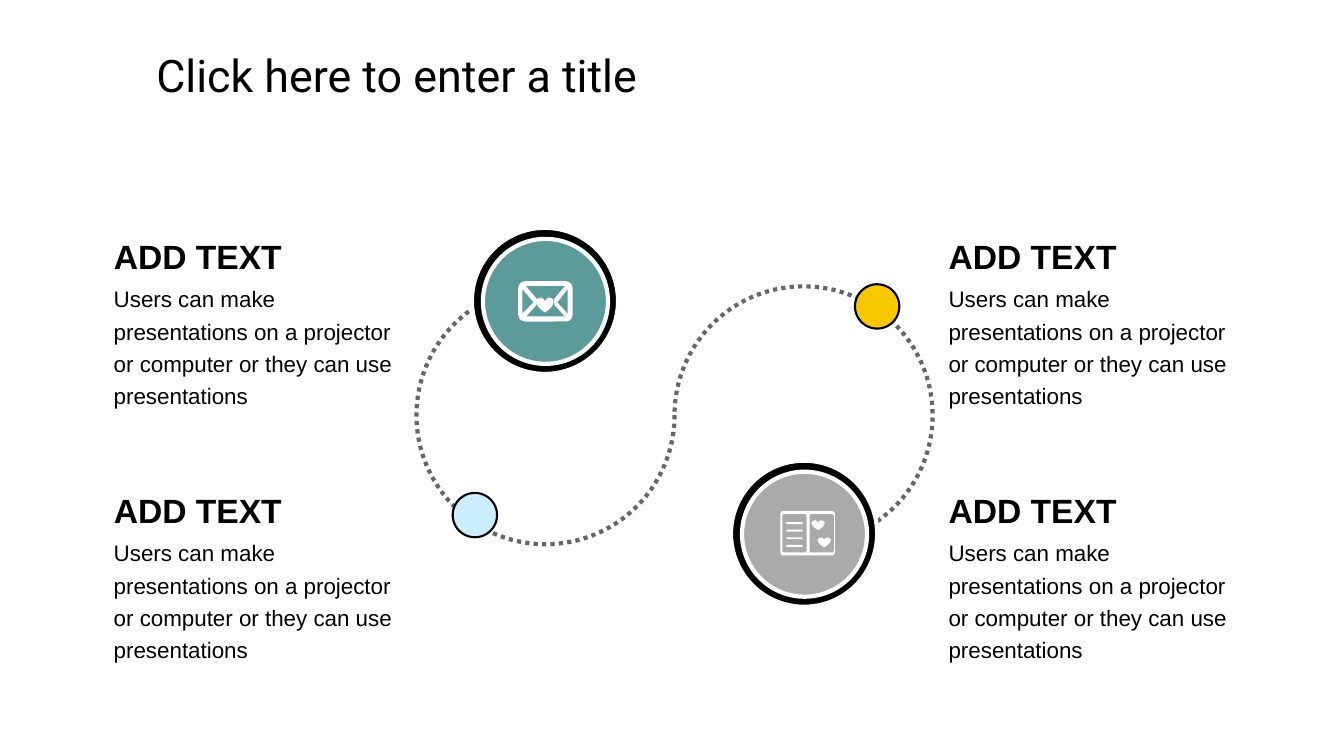
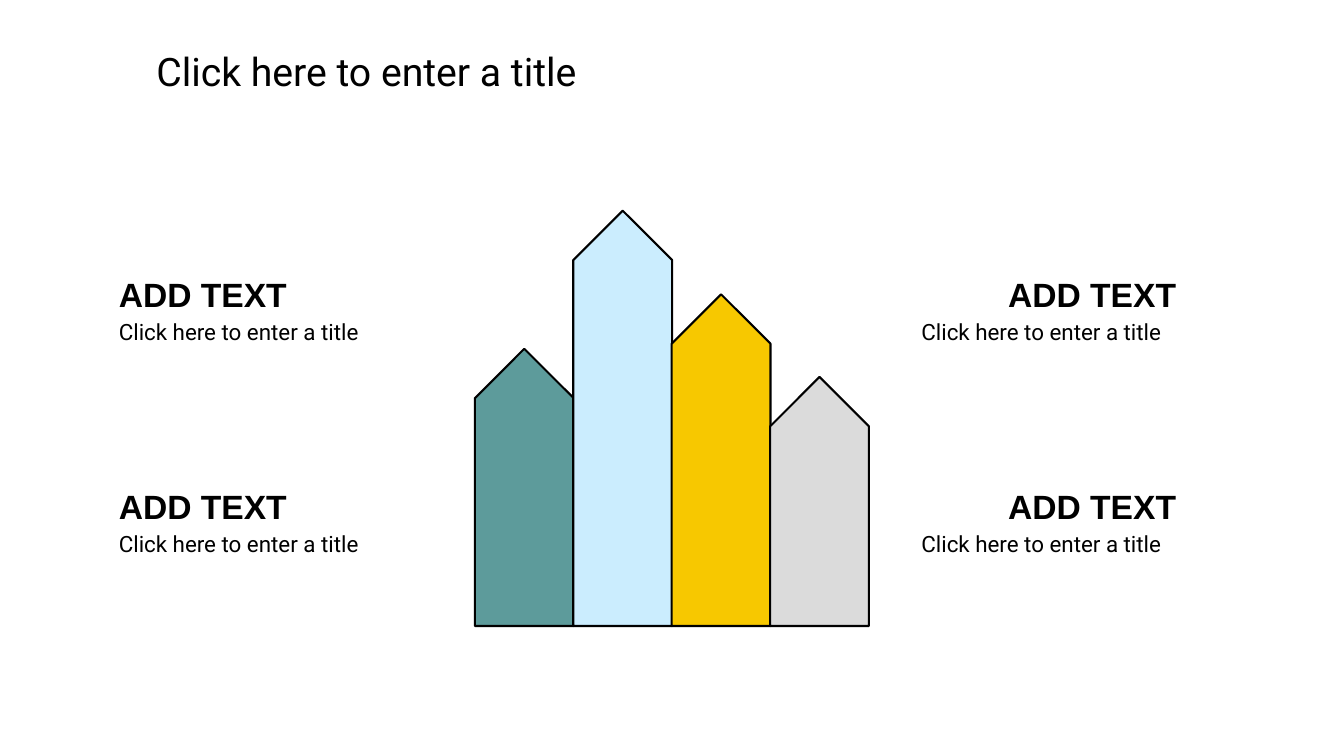
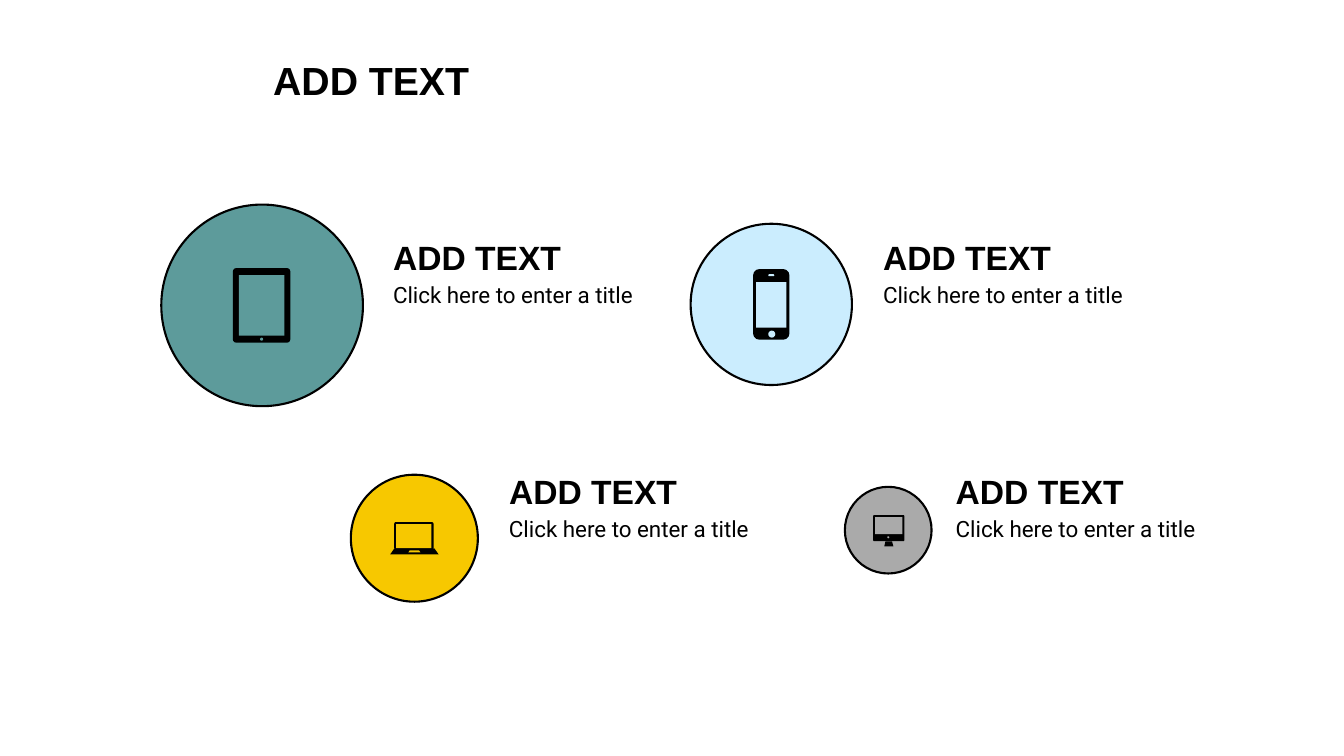
from pptx import Presentation
from pptx.dml.color import RGBColor
from pptx.enum.dml import MSO_LINE
from pptx.enum.shapes import MSO_SHAPE
from pptx.enum.text import MSO_ANCHOR, MSO_AUTO_SIZE, PP_ALIGN
from pptx.util import Inches, Pt

TEAL, BLUE, YELLOW, GRAY = "5D9B9B", "CBEDFE", "F7C800", "AAAAAA"
LIGHT, DARK, BLACK, WHITE = "DBDBDB", "666666", "000000", "FFFFFF"
OVAL, RECT, ROUND = MSO_SHAPE.OVAL, MSO_SHAPE.RECTANGLE, MSO_SHAPE.ROUNDED_RECTANGLE
HEART, TRAPEZOID = MSO_SHAPE.HEART, MSO_SHAPE.TRAPEZOID
HEADING, PROMPT = "ADD TEXT", "Click here to enter a title"
BODY = "Users can make presentations on a projector or computer or they can use presentations"


def add_shape(s, kind, x, y, w, h, fill=None, line=None, width=1.5, adj=()):
    sp = s.shapes.add_shape(kind, Inches(x), Inches(y), Inches(w), Inches(h))
    sp.shadow.inherit = False
    for i, value in enumerate(adj):
        sp.adjustments[i] = value
    if fill:
        sp.fill.solid()
        sp.fill.fore_color.rgb = RGBColor.from_string(fill)
    else:
        sp.fill.background()
    if line:
        sp.line.color.rgb = RGBColor.from_string(line)
        sp.line.width = Pt(width)
    else:
        sp.line.fill.background()
    return sp


def set_text(sp, text, size, font, bold=False, spacing=1.0, wrap=True):
    tf = sp.text_frame
    tf.word_wrap = wrap
    tf.auto_size = MSO_AUTO_SIZE.SHAPE_TO_FIT_TEXT
    tf.vertical_anchor = MSO_ANCHOR.TOP
    p = tf.paragraphs[0]
    p.text = text
    p.alignment = PP_ALIGN.LEFT
    p.line_spacing = spacing
    p.font.name, p.font.size, p.font.bold = font, Pt(size), bold
    p.font.color.rgb = RGBColor.from_string(BLACK)


prs = Presentation()
prs.slide_width, prs.slide_height = Inches(13.33), Inches(7.5)

# Slides and titles: text, left, width, height, size, font, bold, spacing
slides = []
for text, x, w, h, *style in [
    (PROMPT, 1.45, 5.11, 0.64, 32, "Roboto", False, 1.0),
    (PROMPT, 1.45, 4.49, 0.57, 28, "Roboto", False, 1.0),
    (HEADING, 2.61, 2.17, 0.61, 28, "Arial", True, 1.2),
]:
    s = prs.slides.add_slide(prs.slide_layouts[5])
    sp = s.shapes.title
    sp.left, sp.top, sp.width, sp.height = Inches(x), Inches(0.42), Inches(w), Inches(h)
    set_text(sp, text, *style, wrap=False)
    slides.append(s)
path_slide, bars_slide, devices_slide = slides

# Slide 1: dotted path with its stops
s = path_slide
for x, rotation, start in [(4.13, 90, 162), (6.69, 270, 162.97)]:
    sp = add_shape(s, MSO_SHAPE.ARC, x, 2.84, 2.56, 2.56, None, DARK, 3, (start, 108))
    sp.rotation = rotation
    sp.line.dash_style = MSO_LINE.ROUND_DOT
for x, y, fill in [(4.49, 4.89, BLUE), (8.48, 2.82, YELLOW)]:
    add_shape(s, OVAL, x, y, 0.44, 0.44, fill, BLACK)
for x, y, fill in [(7.25, 4.57, GRAY), (4.68, 2.26, TEAL)]:
    add_shape(s, OVAL, x, y, 1.45, 1.45, BLACK, WHITE, 3)
    add_shape(s, OVAL, x + 0.11, y + 0.11, 1.24, 1.24, fill, WHITE, 3)

# Open book icon
add_shape(s, ROUND, 7.74, 5.07, 0.54, 0.44, WHITE, adj=[0.06])
for x in (7.76, 8.03):
    add_shape(s, ROUND, x, 5.1, 0.24, 0.38, GRAY, adj=[0.08])
for i in range(4):
    add_shape(s, RECT, 7.8, 5.18 + i * 0.075, 0.16, 0.02, WHITE)
for x, y in [(8.05, 5.16), (8.11, 5.33)]:
    add_shape(s, HEART, x, y, 0.13, 0.1, WHITE)

# Envelope icon: flap openings cut into a white card
add_shape(s, ROUND, 5.14, 2.79, 0.54, 0.4, WHITE)
openings = [
    [(5.18, 2.87), (5.18, 3.11), (5.29, 3)],
    [(5.63, 2.87), (5.53, 3), (5.63, 3.11)],
    [(5.22, 2.84), (5.33, 2.97), (5.32, 3.03), (5.22, 3.14),
     (5.6, 3.14), (5.5, 3.03), (5.49, 2.97), (5.6, 2.84)],
]
for points in openings:
    corners = [(Inches(x), Inches(y)) for x, y in points]
    builder = s.shapes.build_freeform(*corners[0])
    builder.add_line_segments(corners[1:])
    sp = builder.convert_to_shape()
    sp.shadow.inherit = False
    sp.fill.solid()
    sp.fill.fore_color.rgb = RGBColor.from_string(TEAL)
    sp.line.fill.background()
add_shape(s, HEART, 5.32, 2.95, 0.17, 0.15, WHITE)

# Slide 2: upright bars on one baseline
bar_w, baseline = 0.98, 6.21
for i, (length, fill) in enumerate([(2.75, TEAL), (4.12, BLUE), (3.29, YELLOW), (2.47, LIGHT)]):
    center = 5.2 + i * 0.976
    sp = add_shape(bars_slide, MSO_SHAPE.PENTAGON, center - length / 2,
                   baseline - length / 2 - bar_w / 2, length, bar_w, fill, BLACK)
    sp.rotation = 270

# Slide 3: device circles
s = devices_slide
for x, y, size, fill in [(1.6, 2.03, 2, TEAL), (6.85, 2.22, 1.6, BLUE),
                         (8.38, 4.83, 0.86, GRAY), (3.48, 4.71, 1.26, YELLOW)]:
    add_shape(s, OVAL, x, y, size, size, fill, BLACK)

# Device icons: kind, left, top, width, height, fill, adjustment
for kind, x, y, w, h, fill, *adj in [
    # Tablet
    (ROUND, 2.31, 2.66, 0.57, 0.74, BLACK, 0.06),
    (RECT, 2.37, 2.73, 0.45, 0.6, TEAL),
    (OVAL, 2.58, 3.35, 0.03, 0.03, TEAL),
    # Phone
    (ROUND, 7.47, 2.67, 0.36, 0.7, BLACK),
    (RECT, 7.5, 2.8, 0.3, 0.45, BLUE),
    (ROUND, 7.62, 2.72, 0.06, 0.02, BLUE, 0.5),
    (OVAL, 7.62, 3.28, 0.07, 0.07, BLUE),
    # Monitor
    (ROUND, 8.66, 5.11, 0.31, 0.26, BLACK, 0.05),
    (RECT, 8.68, 5.13, 0.27, 0.17, GRAY),
    (OVAL, 8.8, 5.32, 0.02, 0.02, GRAY),
    (TRAPEZOID, 8.77, 5.37, 0.09, 0.05, BLACK),
    # Laptop
    (ROUND, 3.91, 5.18, 0.39, 0.27, BLACK, 0.06),
    (RECT, 3.93, 5.2, 0.35, 0.24, YELLOW),
    (TRAPEZOID, 3.87, 5.44, 0.48, 0.06, BLACK, 0.7),
    (TRAPEZOID, 4.05, 5.46, 0.12, 0.02, YELLOW, 0.7),
]:
    add_shape(s, kind, x, y, w, h, fill, adj=adj)

# Labels: a heading with its text below
body_style = (BODY, 16, "Arial", False, 1.2)
prompt_style = (PROMPT, 16, "Roboto")
labels = [(path_slide, x, x, y, 3.1, 1.36, body_style)
          for x in (1.03, 9.31) for y in (2.21, 4.73)]
labels += [(bars_slide, x, body_x, y, 3.31, 0.37, prompt_style)
           for x, body_x in [(1.08, 1.08), (9.9, 9.04)] for y in (2.59, 4.69)]
labels += [(devices_slide, x, x, y, 2.6, 0.37, prompt_style)
           for x, y in [(3.8, 2.22), (8.66, 2.22), (4.95, 4.54), (9.38, 4.54)]]
for s, x, body_x, y, w, h, style in labels:
    sp = s.shapes.add_textbox(Inches(body_x), Inches(y + 0.52), Inches(w), Inches(h))
    set_text(sp, *style)
    sp = s.shapes.add_textbox(Inches(x), Inches(y), Inches(2.45), Inches(0.54))
    set_text(sp, HEADING, 24, "Arial", True, 1.2)

prs.save("out.pptx")
